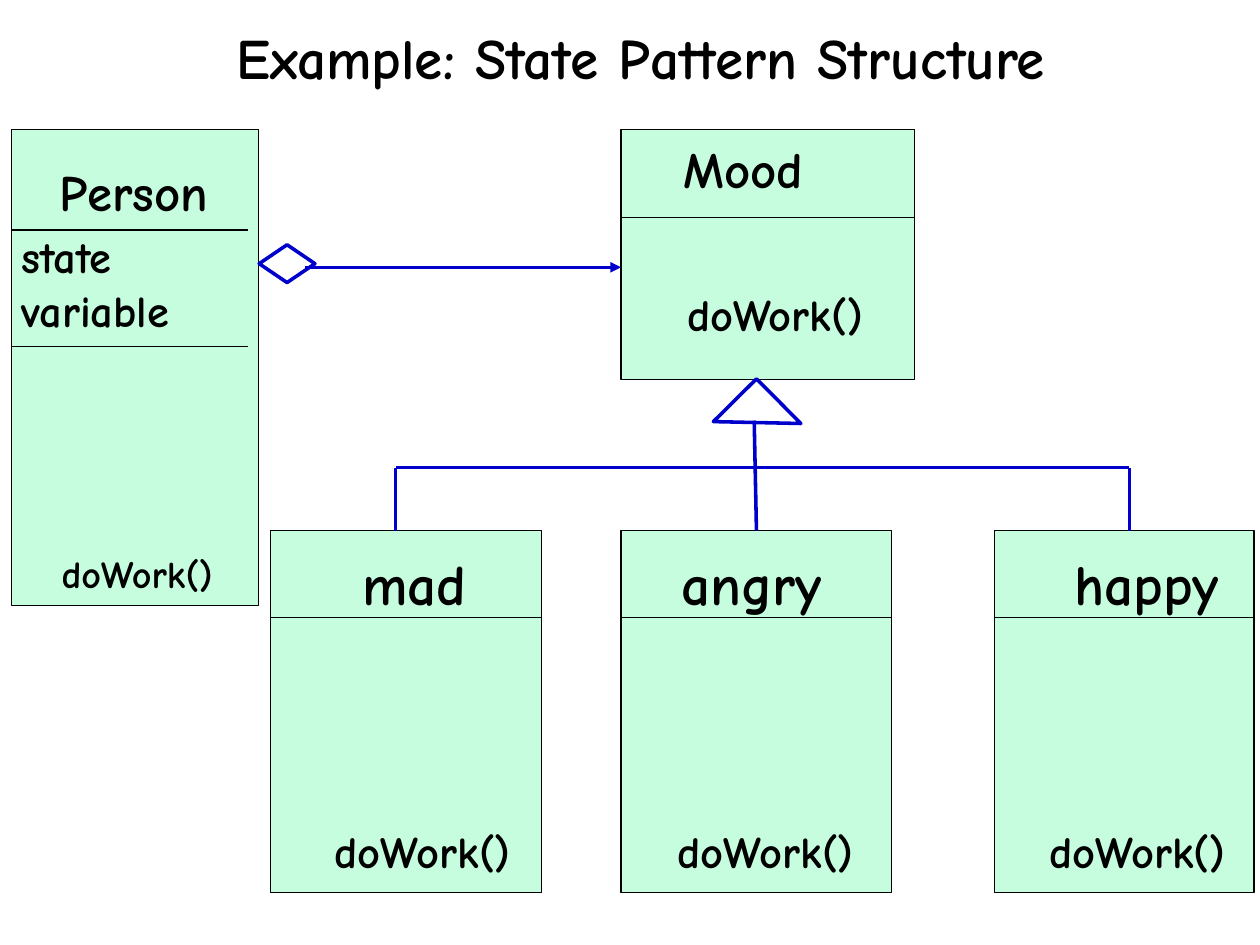
from pptx import Presentation
from pptx.dml.color import RGBColor
from pptx.enum.shapes import MSO_CONNECTOR as Connector, MSO_SHAPE as Shape
from pptx.enum.text import MSO_ANCHOR as Anchor, PP_ALIGN as Align
from pptx.oxml.ns import qn
from pptx.util import Cm, Pt
from lxml.etree import SubElement

FONT = "Comic Neue"
COLORS = {"ink": "000000", "mint": "C7FDDF", "blue": "0000CC", "white": "FFFFFF"}
THIN, THICK = 0.75, 2.25
STATE_TOP, STATE_HEIGHT = 11.79, 8.05
BAR_Y = 10.39


def color(name):
    return RGBColor.from_string(COLORS[name])


def add_outline(page, kind, left, top, width, height, *, fill=None,
                line="ink", weight=THIN, rotation=0):
    shape = page.shapes.add_shape(kind, Cm(left), Cm(top), Cm(width), Cm(height))
    shape.shadow.inherit = False
    shape.rotation = rotation
    if fill:
        shape.fill.solid()
        shape.fill.fore_color.rgb = color(fill)
    else:
        shape.fill.background()
    shape.line.color.rgb = color(line)
    shape.line.width = Pt(weight)
    return shape


def add_line(page, start, end, *, line="ink", weight=THIN, arrow=False):
    points = [Cm(value) for value in (*start, *end)]
    connector = page.shapes.add_connector(Connector.STRAIGHT, *points)
    connector.line.color.rgb = color(line)
    connector.line.width = Pt(weight)
    if arrow:
        SubElement(connector.line._get_or_add_ln(), qn("a:tailEnd"), type="triangle")
    SubElement(connector._element.spPr, qn("a:effectLst"))
    return connector


def add_text(page, text, left, top, width, height, *, size=28, align=Align.LEFT,
             anchor=Anchor.TOP, inset=(0.28, 0.15), spacing=None):
    box = page.shapes.add_textbox(Cm(left), Cm(top), Cm(width), Cm(height))
    frame = box.text_frame
    frame.word_wrap = True
    frame.vertical_anchor = anchor
    frame.margin_left = frame.margin_right = Cm(inset[0])
    frame.margin_top = frame.margin_bottom = Cm(inset[1])
    frame.text = text
    for para in frame.paragraphs:
        para.alignment = align
        para.line_spacing = spacing
        for span in para.runs:
            span.font.name = FONT
            span.font.size = Pt(size)
            span.font.bold = True
            span.font.color.rgb = color("ink")


def add_class(page, left, top, width, height, dividers, divider_width=None):
    """Draw a class box with dividers at the given distances below its top."""
    box = add_outline(page, Shape.RECTANGLE, left, top, width, height, fill="mint")
    for offset in dividers:
        y = top + offset
        add_line(page, (left, y), (left + (divider_width or width), y))
    return box


def add_person(page):
    add_class(page, 0.25, 2.87, 5.49, 10.59, (2.24, 4.83), divider_width=5.26)
    add_text(page, "Person", 0, 3.43, 5.94, 1.63, size=32, align=Align.CENTER)
    add_text(page, "state\nvariable", 0.2, 4.95, 4.5, 2.67)
    add_text(page, "doWork()", 1.09, 12.09, 4.4, 1.32, size=24)


def add_mood(page):
    add_class(page, 13.8, 2.87, 6.53, 5.56, (1.96,))
    add_text(page, "Mood", 14.91, 2.9, 4, 1.65, size=32)
    add_text(page, "doWork()", 14.99, 6.22, 4.95, 1.47)


def add_state(page, name, left, width, name_left, method_left):
    box = add_class(page, left, STATE_TOP, width, STATE_HEIGHT, (1.93,))
    add_text(page, name, name_left, 12.04, 4.2, 1.8, size=36)
    add_text(page, "doWork()", method_left, 18.16, 4.95, 1.47)
    return box


def add_relations(page, angry):
    stroke = {"line": "blue", "weight": THICK}
    add_outline(page, Shape.DIAMOND, 5.76, 5.44, 1.24, 0.84, **stroke)
    add_line(page, (6.78, 5.94), (13.8, 5.94), arrow=True, **stroke)

    branches = (8.79, 25.1)
    add_line(page, (branches[0], BAR_Y), (branches[1], BAR_Y), **stroke)
    for x in branches:
        add_line(page, (x, STATE_TOP), (x, BAR_Y), **stroke)
    add_outline(page, Shape.RIGHT_TRIANGLE, 16.15, 8.69, 1.35, 1.4,
                fill="white", rotation=135.2, **stroke)
    stem = add_line(page, (16.81, STATE_TOP), (16.76, 9.35), **stroke)
    stem.begin_connect(angry, 0)


def main():
    deck = Presentation()
    deck.slide_width, deck.slide_height = Cm(28), Cm(21)
    page = deck.slides.add_slide(deck.slide_layouts[6])

    add_text(page, "Example: State Pattern Structure", 1.07, 0.2, 26.34, 1.83,
             size=36, align=Align.CENTER, anchor=Anchor.BOTTOM,
             inset=(0, 0), spacing=0.88)
    add_person(page)
    add_mood(page)
    add_state(page, "mad", 6.02, 6.02, 7.77, 7.16)
    angry = add_state(page, "angry", 13.8, 6.02, 14.86, 14.78)
    add_state(page, "happy", 22.1, 5.77, 23.6, 23.04)
    add_relations(page, angry)
    deck.save("out.pptx")


if __name__ == "__main__":
    main()
